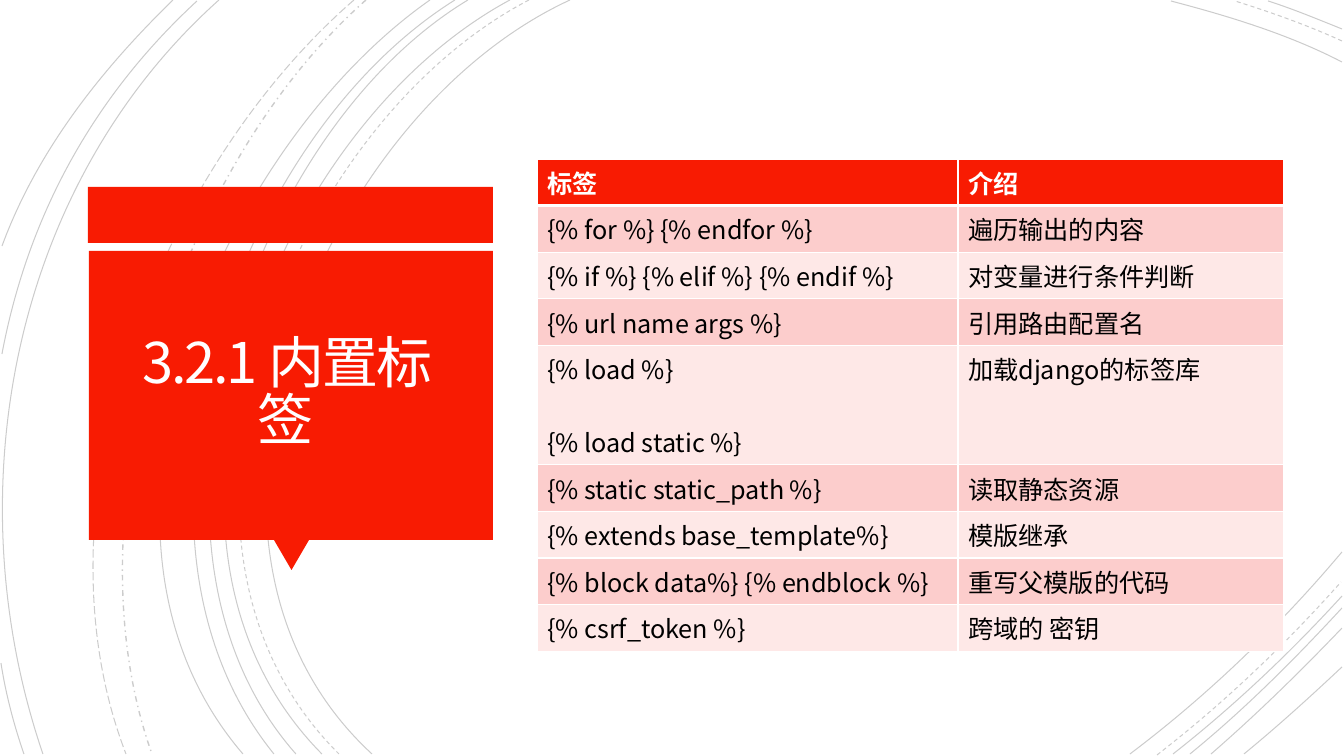
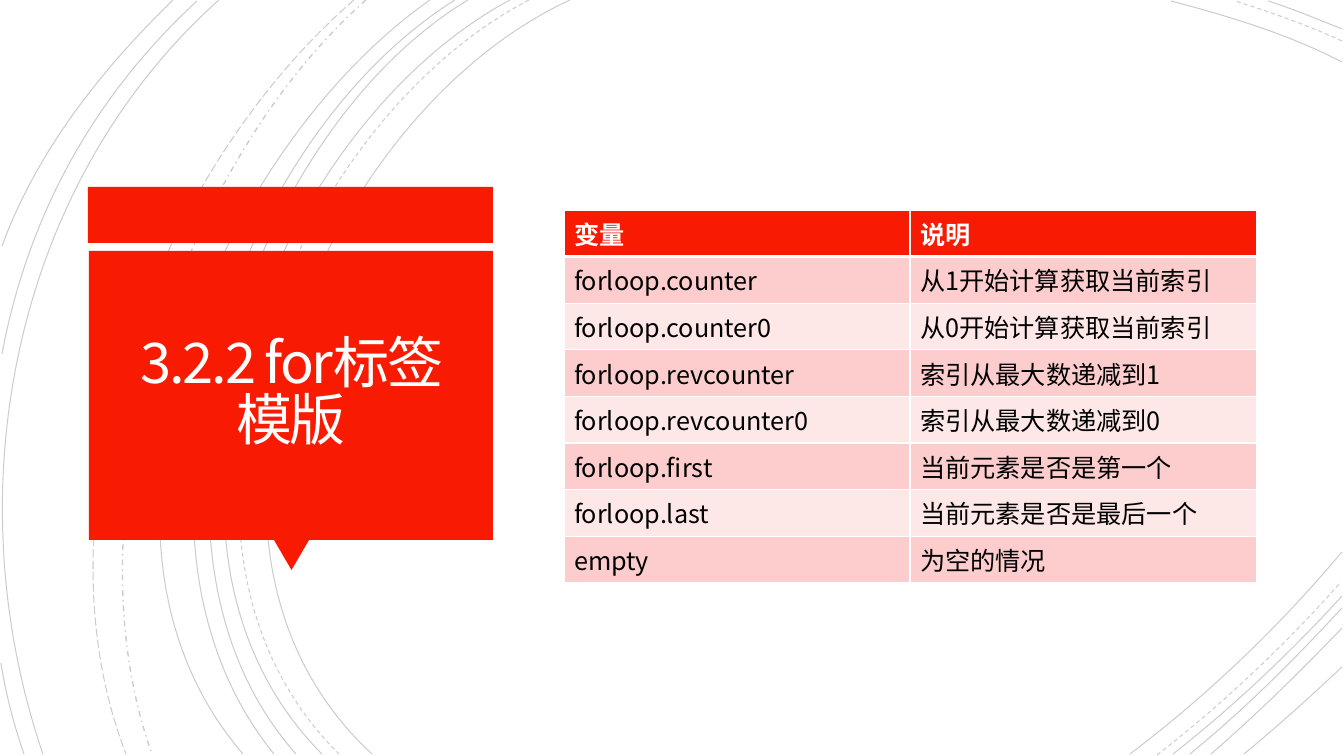
from pptx import Presentation
from pptx import util as u
from pptx.dml.color import RGBColor
from pptx.enum import dml, shapes, text
from pptx.oxml import parse_xml
from pptx.oxml.ns import nsdecls, qn

WIDE, HIGH = 1344, 756
SCALE = 914400 / 100.8
FONT = "Noto Sans CJK SC"
RED, WHITE, BLACK = "F81B02", "FFFFFF", "000000"
BANDS = ("FCCDCC", "FEE8E7")
ROW = 41

SLIDES = [
    dict(title="3.2.1 内置标签", left=93, at=(537, 159), cols=(421, 326), rows=[
        ("标签", "介绍"),
        ("{% for %} {% endfor %}", "遍历输出的内容"),
        ("{% if %} {% elif %} {% endif %}", "对变量进行条件判断"),
        ("{% url name args %}", "引用路由配置名"),
        ("{% load %}\n{% load static %}", "加载django的标签库"),
        ("{% static static_path %}", "读取静态资源"),
        ("{% extends base_template%}", "模版继承"),
        ("{% block data%} {% endblock %}", "重写父模版的代码"),
        ("{% csrf_token %}", "跨域的 密钥"),
    ]),
    dict(title="3.2.2 for标签模版", left=98, at=(564, 210), cols=(346, 347), rows=[
        ("变量", "说明"),
        ("forloop.counter", "从1开始计算获取当前索引"),
        ("forloop.counter0", "从0开始计算获取当前索引"),
        ("forloop.revcounter", "索引从最大数递减到1"),
        ("forloop.revcounter0", "索引从最大数递减到0"),
        ("forloop.first", "当前元素是否是第一个"),
        ("forloop.last", "当前元素是否是最后一个"),
        ("empty", "为空的情况"),
    ]),
]

# Each arc: start, two control points, end.
DASH = dml.MSO_LINE
ARCS = {
    DASH.SOLID: [
        ((570, 0), (318, 116), (144, 544), (372, 754)),
        ((1342, 62), (1288, 34), (1228, 16), (1171, 1)),
        ((1130, 754), (1207, 696), (1279, 627), (1342, 552)),
        ((510, 0), (272, 128), (111, 541), (322, 754)),
        ((1342, 29), (1317, 19), (1293, 9), (1268, 1)),
        ((1173, 754), (1233, 707), (1290, 653), (1342, 596)),
        ((468, 0), (246, 134), (111, 545), (296, 754)),
        ((1190, 754), (1244, 710), (1294, 660), (1342, 608)),
        ((455, 0), (233, 139), (98, 537), (274, 754)),
        ((1211, 754), (1256, 715), (1300, 672), (1342, 628)),
        ((430, 0), (219, 148), (53, 533), (243, 754)),
        ((1244, 754), (1277, 727), (1309, 698), (1342, 667)),
        ((219, 0), (11, 186), (-46, 494), (43, 754)),
        ((197, 1), (93, 97), (28, 216), (2, 354)),
        ((1, 663), (6, 695), (14, 725), (24, 754)),
        ((173, 0), (101, 70), (37, 151), (2, 246)),
    ],
    DASH.DASH: [
        ((529, 0), (287, 126), (124, 541), (339, 754)),
        ((1342, 41), (1307, 25), (1270, 12), (1235, 1)),
        ((1157, 755), (1223, 704), (1285, 645), (1341, 582)),
    ],
    DASH.DASH_DOT: [((366, 0), (177, 167), (66, 513), (152, 754))],
    DASH.LONG_DASH: [((354, 0), (158, 170), (29, 503), (126, 754))],
}

RECT, TIP = shapes.MSO_SHAPE.RECTANGLE, shapes.MSO_SHAPE.ISOSCELES_TRIANGLE
PANEL = [
    (RECT, (88, 187, 405, 56), 0),
    (TIP, (274, 540, 35, 30), 180),
    (RECT, (89, 251, 404, 289), 0),
]


def px(num):
    """Turn pixels into EMU."""
    return u.Emu(round(num * SCALE))


def paint(part, hue):
    """Give a fill a solid colour."""
    part.solid()
    part.fore_color.rgb = RGBColor.from_string(hue)


def style(para, size, hue, bold=False, space=None):
    """Set the font of a paragraph, for Latin and Chinese text."""
    font = para.font
    font.size, font.bold, font.name = u.Pt(size), bold, FONT
    paint(font.fill, hue)
    props = [font._rPr] + [run.font._rPr for run in para.runs]
    for prop in props:
        prop.append(parse_xml(f'<a:ea {nsdecls("a")} typeface="{FONT}"/>'))
        if space:
            prop.set("spc", str(space))


def bend(shape):
    """Turn the three segments of an outline into one cubic curve."""
    legs = list(shape.element.spPr.iter(qn("a:lnTo")))
    cubic = parse_xml(f'<a:cubicBezTo {nsdecls("a")}/>')
    legs[0].addprevious(cubic)
    for leg in legs:
        cubic.append(leg[0])
        leg.getparent().remove(leg)


def add_arc(slide, arc, dash):
    """Draw one faint open arc."""
    first, *rest = [(px(x), px(y)) for x, y in arc]
    pen = slide.shapes.build_freeform(*first)
    pen.add_line_segments(rest, close=False)
    shape = pen.convert_to_shape()
    bend(shape)
    shape.shadow.inherit = False
    shape.fill.background()
    line = shape.line
    paint(line.fill, BLACK)
    line.width = u.Pt(1 if dash == DASH.DASH_DOT else 0.75)
    line.dash_style = dash
    hue = shape.element.spPr.find(qn("a:ln")).find(".//" + qn("a:srgbClr"))
    hue.append(parse_xml(f'<a:alpha {nsdecls("a")} val="20000"/>'))
    return shape


def add_block(slide, kind, box, turn):
    """Draw one red part of the title panel."""
    shape = slide.shapes.add_shape(kind, *map(px, box))
    shape.shadow.inherit = False
    shape.rotation = turn
    paint(shape.fill, RED)
    shape.line.fill.background()
    return shape


def dress(layout, slide):
    """Build the shared arcs and panel, and hand them to the layout."""
    for hold in list(layout.placeholders)[1:]:
        layout.shapes.element.remove(hold.element)
    art = [add_arc(slide, arc, dash) for dash, arcs in ARCS.items() for arc in arcs]
    art += [add_block(slide, *part) for part in PANEL]
    for shape in art:
        layout.shapes.element.append(shape.element)


def set_title(slide, words, left):
    """Place and format the title."""
    title = slide.shapes.title
    title.left, title.top, title.width, title.height = map(px, (left, 259, 386, 271))
    frame = title.text_frame
    frame.text = words
    frame.word_wrap = True
    frame.auto_size = text.MSO_AUTO_SIZE.NONE
    frame.vertical_anchor = text.MSO_ANCHOR.MIDDLE
    frame.margin_left = frame.margin_right = u.Inches(0.25)
    frame.margin_top = frame.margin_bottom = u.Inches(0.25)
    para = frame.paragraphs[0]
    para.alignment = text.PP_ALIGN.CENTER
    para.line_spacing = 0.85
    style(para, 40, "FFFEFF", space=-150)


def edge(cell, row):
    """Draw white cell borders, thick below the header."""
    wide = {"L": 1, "R": 1, "T": 3 if row == 1 else 1, "B": 3 if row == 0 else 1}
    props = cell._tc.get_or_add_tcPr()
    for spot, (side, size) in enumerate(wide.items()):
        props.insert(spot, parse_xml(
            f'<a:ln{side} {nsdecls("a")} w="{u.Pt(size)}"><a:solidFill>'
            f'<a:srgbClr val="{WHITE}"/></a:solidFill></a:ln{side}>'))


def add_grid(slide, at, cols, rows):
    """Add a table with a red header and pink bands."""
    size = (sum(cols), ROW * len(rows))
    grid = slide.shapes.add_table(len(rows), len(cols), *map(px, at + size)).table
    grid.horz_banding = False
    for col, wide in zip(grid.columns, cols):
        col.width = px(wide)
    for r, words in enumerate(rows):
        grid.rows[r].height = px(ROW)
        head = r == 0
        for c, word in enumerate(words):
            cell = grid.cell(r, c)
            cell.text = word
            paint(cell.fill, RED if head else BANDS[(r - 1) % 2])
            edge(cell, r)
            for n, para in enumerate(cell.text_frame.paragraphs):
                style(para, 18, WHITE if head else BLACK, head)
                if n:
                    para.space_before = u.Pt(26)


deck = Presentation()
deck.slide_width, deck.slide_height = px(WIDE), px(HIGH)
plain = deck.slide_layouts.get_by_name("Title Only")
for n, page in enumerate(SLIDES):
    slide = deck.slides.add_slide(plain)
    if n == 0:
        dress(plain, slide)
    set_title(slide, page["title"], page["left"])
    add_grid(slide, page["at"], page["cols"], page["rows"])
deck.save("out.pptx")
